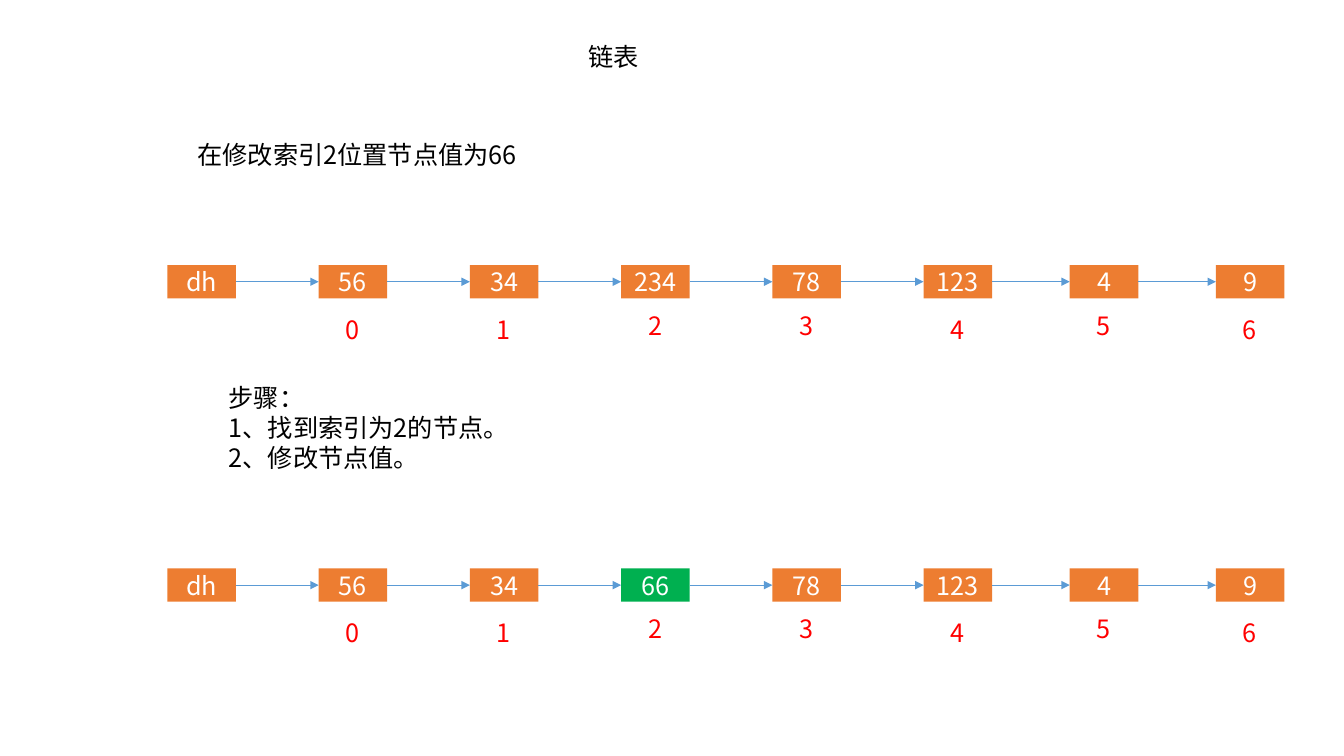
from lxml.etree import SubElement
from pptx import Presentation
from pptx.dml.color import RGBColor
from pptx.enum.shapes import MSO_CONNECTOR, MSO_SHAPE
from pptx.enum.text import MSO_ANCHOR, MSO_AUTO_SIZE, PP_ALIGN
from pptx.oxml.ns import qn
from pptx.util import Inches, Pt

COLOURS = {"text": "000000", "node": "ED7D31", "changed": "00B050",
           "value": "FFFFFF", "index": "FF0000", "arrow": "5B9BD5"}
FONT = "Noto Sans CJK SC"

# Grid of the linked lists, in inches
FIRST_COLUMN, COLUMN = 1.66, 1.5
TAIL_START, TAIL_SQUEEZE = 5, 0.05  # columns after this one sit closer
NODE_W, NODE_H = 0.68, 0.33
LINE_H = 0.4
INDEX_W = 0.34


def write(frame, lines, colour, align=PP_ALIGN.LEFT):
    """Fill a text frame with one paragraph per line."""
    frame.text = "\n".join(lines)
    for paragraph in frame.paragraphs:
        paragraph.alignment = align
        paragraph.font.size = Pt(18)
        paragraph.font.name = FONT
        paragraph.font.color.rgb = RGBColor.from_string(COLOURS[colour])
        for run in paragraph.runs:
            SubElement(run._r.get_or_add_rPr(), qn("a:ea"), typeface=FONT)


def add_label(shapes, box, lines, colour="text"):
    """Add a text box whose height follows its text."""
    frame = shapes.add_textbox(*map(Inches, box)).text_frame
    frame.word_wrap = True
    frame.auto_size = MSO_AUTO_SIZE.SHAPE_TO_FIT_TEXT
    write(frame, lines, colour)


deck = Presentation()
deck.slide_width, deck.slide_height = Inches(13.33), Inches(7.5)
slide = deck.slides.add_slide(deck.slide_layouts[6])

add_label(slide.shapes, (5.74, 0.36, 0.71, LINE_H), ["链表"])
add_label(slide.shapes, (1.86, 1.33, 3.38, LINE_H), ["在修改索引2位置节点值为66"])
add_label(slide.shapes, (2.17, 3.74, 2.99, 1.01),
          ["步骤:".replace(":", "："), "1、找到索引为2的节点。", "2、修改节点值。"])

before = ["dh", "56", "34", "234", "78", "123", "4", "9"]
after = ["66" if value == "234" else value for value in before]

for top, values in ((2.63, before), (5.64, after)):
    linked_list = slide.shapes.add_group_shape().shapes
    previous = None
    for column, value in enumerate(values):
        left = (FIRST_COLUMN + column * COLUMN
                - max(0, column - TAIL_START) * TAIL_SQUEEZE)
        node = linked_list.add_shape(
            MSO_SHAPE.RECTANGLE, *map(Inches, (left, top, NODE_W, NODE_H)))
        node.shadow.inherit = False
        node.fill.solid()
        fill = "node" if value == before[column] else "changed"
        node.fill.fore_color.rgb = RGBColor.from_string(COLOURS[fill])
        node.line.fill.background()
        node.text_frame.vertical_anchor = MSO_ANCHOR.MIDDLE
        write(node.text_frame, [value], "value", PP_ALIGN.CENTER)

        if previous is not None:
            middle = node.top + node.height // 2
            arrow = linked_list.add_connector(
                MSO_CONNECTOR.STRAIGHT, previous.left + previous.width, middle,
                node.left, middle)
            arrow.begin_connect(previous, 3)
            arrow.end_connect(node, 1)
            arrow.line.color.rgb = RGBColor.from_string(COLOURS["arrow"])
            arrow.line.width = Pt(0.5)
            SubElement(arrow.line._get_or_add_ln(), qn("a:tailEnd"), type="triangle")
            SubElement(arrow._element.spPr, qn("a:effectLst"))

            index = column - 1
            drop = 0.4 if index in (2, 3, 5) else 0.44
            add_label(linked_list,
                      (left + (NODE_W - INDEX_W) / 2, top + drop, INDEX_W, LINE_H),
                      [str(index)], "index")
        previous = node

deck.save("out.pptx")
